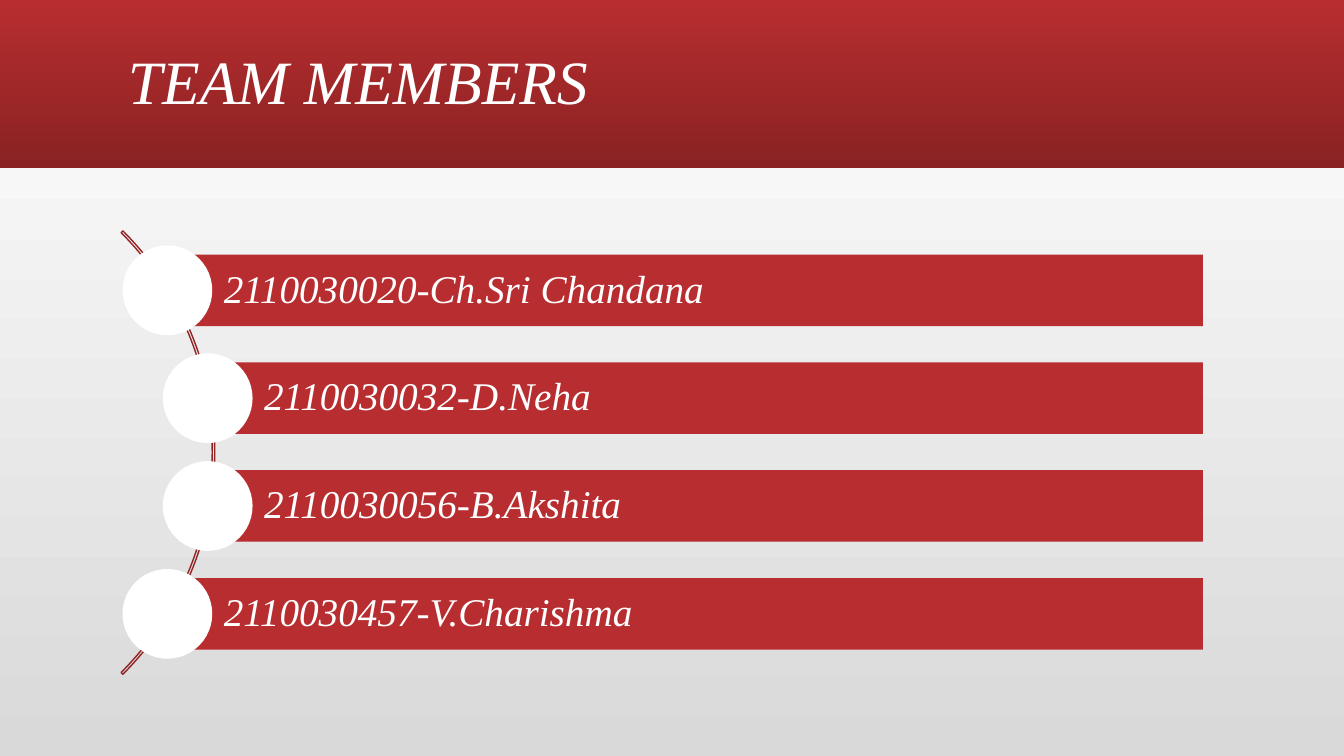
from dataclasses import dataclass

from pptx import Presentation
from pptx.dml.color import RGBColor
from pptx.dml.fill import FillFormat
from pptx.enum.shapes import MSO_SHAPE as Preset
from pptx.enum.text import MSO_ANCHOR as Anchor, PP_ALIGN as Align
from pptx.shapes.autoshape import Shape
from pptx.slide import Slide
from pptx.text.text import TextFrame
from pptx.util import Inches, Pt

COLORS = {
    "red": "B82D2F",
    "dark red": "8A2223",
    "arc": "932426",
    "white": "FFFFFF",
    "gray": "D9D9D9",
}
FONT = "Times New Roman"
SLIDE_WIDTH, SLIDE_HEIGHT = 13.33, 7.5
ARC_LEFT, ARC_TOP, ARC_SIZE = -4.09, 1.38, 6.22
BAR_RIGHT, BAR_HEIGHT = 11.93, 0.71
CIRCLE_SIZE = 0.89
FIRST_CENTER, PITCH = 2.88, 1.07
OUTER, INNER = 1.66, 2.06


@dataclass(frozen=True)
class Member:
    label: str
    left: float


MEMBERS = [
    Member("2110030020-Ch.Sri Chandana", OUTER),
    Member("2110030032-D.Neha", INNER),
    Member("2110030056-B.Akshita", INNER),
    Member("2110030457-V.Charishma", OUTER),
]


def rgb(name: str) -> RGBColor:
    return RGBColor.from_string(COLORS[name])


def fill_gradient(fill: FillFormat, top: str, bottom: str) -> None:
    fill.gradient()
    fill.gradient_angle = 270
    for stop, name, position in zip(fill.gradient_stops, (top, bottom), (0, 1)):
        stop.color.rgb = rgb(name)
        stop.position = position


def add_preset(slide: Slide, preset: Preset, left: float, top: float,
               width: float, height: float) -> Shape:
    """Add a shape without shadow or outline."""
    shape = slide.shapes.add_shape(
        preset, Inches(left), Inches(top), Inches(width), Inches(height))
    shape.shadow.inherit = False
    shape.line.fill.background()
    return shape


def write_text(frame: TextFrame, text: str, size: int) -> None:
    frame.word_wrap = True
    frame.vertical_anchor = Anchor.MIDDLE
    paragraph = frame.paragraphs[0]
    paragraph.text = text
    paragraph.alignment = Align.LEFT
    paragraph.line_spacing = 0.9
    font = paragraph.font
    font.name, font.size, font.italic = FONT, Pt(size), True
    font.color.rgb = rgb("white")


def add_header(slide: Slide) -> None:
    band = add_preset(slide, Preset.RECTANGLE, 0, 0, SLIDE_WIDTH, 1.67)
    fill_gradient(band.fill, "red", "dark red")
    title = slide.shapes.add_textbox(
        Inches(1.17), Inches(0.11), Inches(11), Inches(1.45))
    write_text(title.text_frame, "TEAM MEMBERS", 44)


def add_arc(slide: Slide) -> None:
    arc = add_preset(slide, Preset.BLOCK_ARC, ARC_LEFT, ARC_TOP, ARC_SIZE, ARC_SIZE)
    for index, value in enumerate((189, 27, 0.004)):
        arc.adjustments[index] = value
    arc.fill.background()
    arc.line.color.rgb = rgb("arc")
    arc.line.width = Pt(1)


def add_member(slide: Slide, member: Member, center: float) -> None:
    """Add a labelled bar with a circle centred on its left end."""
    bar = add_preset(slide, Preset.RECTANGLE, member.left, center - BAR_HEIGHT / 2,
                     BAR_RIGHT - member.left, BAR_HEIGHT)
    bar.fill.solid()
    bar.fill.fore_color.rgb = rgb("red")
    frame = bar.text_frame
    frame.margin_left = Inches(0.56)
    frame.margin_top = frame.margin_right = frame.margin_bottom = Inches(0.08)
    write_text(frame, member.label, 28)

    radius = CIRCLE_SIZE / 2
    circle = add_preset(slide, Preset.OVAL, member.left - radius, center - radius,
                        CIRCLE_SIZE, CIRCLE_SIZE)
    circle.fill.solid()
    circle.fill.fore_color.rgb = rgb("white")


def main() -> None:
    presentation = Presentation()
    presentation.slide_width = Inches(SLIDE_WIDTH)
    presentation.slide_height = Inches(SLIDE_HEIGHT)
    slide = presentation.slides.add_slide(presentation.slide_layouts[6])
    fill_gradient(slide.background.fill, "white", "gray")
    add_header(slide)
    add_arc(slide)
    for index, member in enumerate(MEMBERS):
        add_member(slide, member, FIRST_CENTER + index * PITCH)
    presentation.save("out.pptx")


if __name__ == "__main__":
    main()
